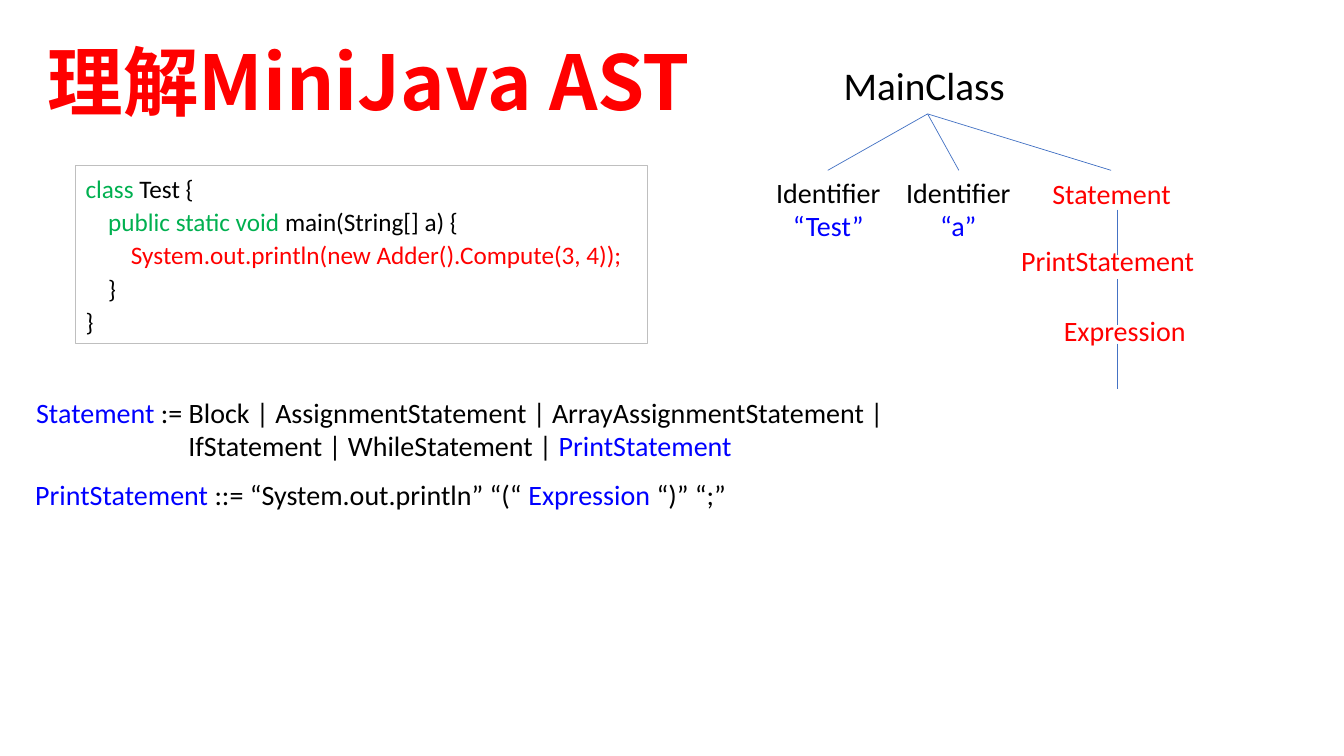
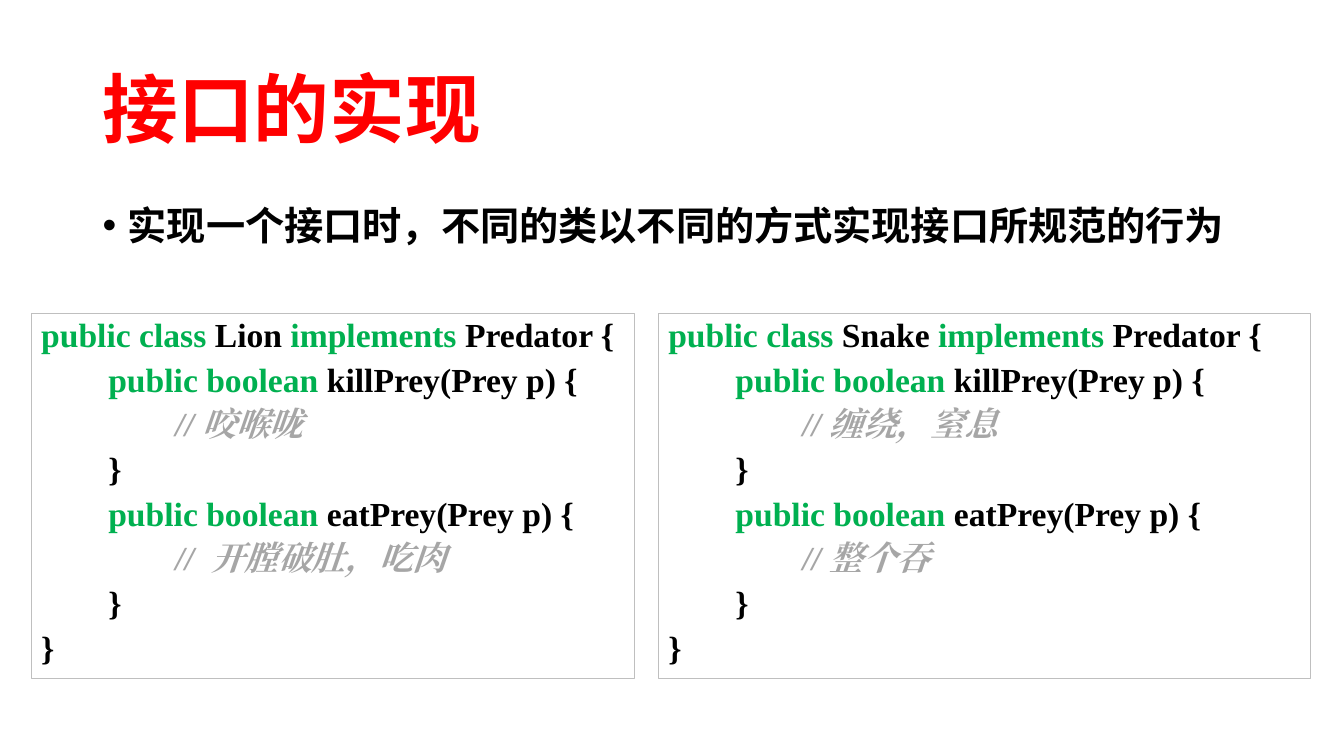
from lxml import etree
from pptx import Presentation
from pptx.dml.color import RGBColor
from pptx.enum.shapes import MSO_CONNECTOR, MSO_SHAPE
from pptx.enum.text import MSO_ANCHOR, PP_ALIGN
from pptx.oxml.ns import qn
from pptx.util import Inches, Pt

LEFT, CENTER = PP_ALIGN.LEFT, PP_ALIGN.CENTER
TOP, MIDDLE = MSO_ANCHOR.TOP, MSO_ANCHOR.MIDDLE
RECT, STRAIGHT = MSO_SHAPE.RECTANGLE, MSO_CONNECTOR.STRAIGHT

RED, GREEN, BLUE = "FF0000", "00B050", "0000FF"
BLACK, GREY, BORDER, EDGE = "000000", "A6A6A6", "BFBFBF", "4472C4"
SANS, CJK, SERIF = "Calibri", "Noto Sans CJK SC", "Times New Roman"


def rgb(value):
    return RGBColor.from_string(value)


class Deck:
    """Holds the shared style and the current slide."""

    def __init__(self):
        self.prs = Presentation()
        self.prs.slide_width, self.prs.slide_height = Inches(13.33), Inches(7.5)
        self.s = None

    def slide(self):
        self.s = self.prs.slides.add_slide(self.prs.slide_layouts[6])

    def fill_text(self, sp, lines, size, font=SANS, bold=False, align=LEFT,
                  spacing=1.0, before=0, anchor=TOP):
        """Each line is a list of (text, colour) pieces; grey pieces are italic."""
        tf = sp.text_frame
        tf.word_wrap = True
        tf.vertical_anchor = anchor
        for i, line in enumerate(lines):
            p = tf.paragraphs[0] if i == 0 else tf.add_paragraph()
            p.alignment, p.line_spacing = align, spacing
            p.space_before = Pt(before if i else 0)
            for text, color in line:
                r = p.add_run()
                r.text = text
                r.font.size, r.font.name, r.font.bold = Pt(size), font, bold
                r.font.italic = color == GREY
                r.font.color.rgb = rgb(color)
                ea = etree.SubElement(r.font._element, qn("a:ea"))
                ea.set("typeface", font)
        return tf

    def text(self, x, y, w, h, lines, size=20, **style):
        sp = self.s.shapes.add_textbox(Inches(x), Inches(y), Inches(w), Inches(h))
        return self.fill_text(sp, lines, size, **style)

    def title(self, x, y, w, text, align=LEFT):
        self.text(x, y, w, 1.45, [[(text, RED)]], 54, font=CJK, bold=True,
                  align=align, spacing=0.9, anchor=MIDDLE)

    def indent(self, p, left, first=0, bullet=None):
        pPr = p._p.get_or_add_pPr()
        pPr.set("marL", str(Inches(left)))
        pPr.set("indent", str(Inches(first)))
        if bullet:
            etree.SubElement(pPr, qn("a:buFont")).set("typeface", "Arial")
            etree.SubElement(pPr, qn("a:buChar")).set("char", bullet)

    def code(self, x, y, w, h, lines, size, **style):
        sp = self.s.shapes.add_shape(RECT, Inches(x), Inches(y), Inches(w), Inches(h))
        sp.shadow.inherit = False
        sp.fill.background()
        sp.line.color.rgb = rgb(BORDER)
        sp.line.width = Pt(0.75)
        self.fill_text(sp, lines, size, **style)

    def line(self, x1, y1, x2, y2):
        c = self.s.shapes.add_connector(STRAIGHT, Inches(x1), Inches(y1),
                                        Inches(x2), Inches(y2))
        c.line.color.rgb = rgb(EDGE)
        c.line.width = Pt(0.5)
        etree.SubElement(c._element.spPr, qn("a:effectLst"))


def ast_slide(d):
    d.slide()
    d.title(0.23, 0.13, 6.86, "理解MiniJava AST", CENTER)
    d.code(0.75, 1.64, 5.67, 1.77, [
        [("class", GREEN), (" Test {", BLACK)],
        [("    public static void", GREEN), (" main(String[] a) {", BLACK)],
        [("        System.out.println(new Adder().Compute(3, 4));", RED)],
        [("    }", BLACK)],
        [("}", BLACK)],
    ], 18, spacing=1.1)

    # Grammar rules
    d.text(0.25, 4.69, 7.12, 0.44, [[
        ("PrintStatement", BLUE), (" ::= “System.out.println” “(“ ", BLACK),
        ("Expression", BLUE), (" “)” “;”", BLACK)]])
    tf = d.text(0.26, 3.87, 8.76, 0.77, [
        [("Statement", BLUE),
         (" := Block | AssignmentStatement | ArrayAssignmentStatement |", BLACK)],
        [("IfStatement | WhileStatement | ", BLACK), ("PrintStatement", BLUE)]])
    d.indent(tf.paragraphs[1], 1.51)

    # Tree nodes
    d.text(8.27, 0.56, 1.87, 0.57, [[("MainClass", BLACK)]], 28)
    for x, value in ((7.57, "“Test”"), (8.86, "“a”")):
        d.text(x, 1.69, 1.29, 0.77,
               [[("Identifier", BLACK)], [(value, BLUE)]], align=CENTER)
    for x, y, w, name in ((10.31, 1.7, 1.43, "Statement"),
                          (9.99, 2.37, 1.99, "PrintStatement"),
                          (9.99, 3.06, 2.33, "Expression")):
        d.text(x, y, w, 0.44, [[(name, RED)]], align=CENTER)

    # Tree edges
    for x in (8.21, 9.51, 11.02):
        d.line(9.2, 1.13, x, 1.69)
    for y in (2.08, 2.77, 3.41):
        d.line(11.08, y, 11.08, y + 0.45)


def method(name, comment):
    return [[("        public boolean ", GREEN), (name + "(Prey p) {", BLACK)],
            [("                // " + comment, GREY)],
            [("        }", BLACK)]]


def predator(name, kill, eat):
    return [[("public class ", GREEN), (name, BLACK),
             (" implements ", GREEN), ("Predator {", BLACK)],
            *method("killPrey", kill), *method("eatPrey", eat),
            [("}", BLACK)]]


def interface_slide(d):
    d.slide()
    d.title(0.92, 0.4, 11.5, "接口的实现")
    tf = d.text(0.92, 2, 11.5, 0.8, [[
        ("实现一个接口时，不同的类以不同的方式实现接口所规范的行为", BLACK)]],
        28, font=CJK, bold=True, spacing=0.9)
    d.indent(tf.paragraphs[0], 0.25, -0.25, "•")

    # Two classes side by side
    for x, w, lines in ((0.31, 5.98, predator("Lion", "咬喉咙", " 开膛破肚，吃肉")),
                        (6.53, 6.47, predator("Snake", "缠绕，窒息", "整个吞"))):
        d.code(x, 3.11, w, 3.62, lines, 24, font=SERIF, bold=True,
               spacing=0.9, before=6)


def main():
    d = Deck()
    ast_slide(d)
    interface_slide(d)
    d.prs.save("out.pptx")


if __name__ == "__main__":
    main()
